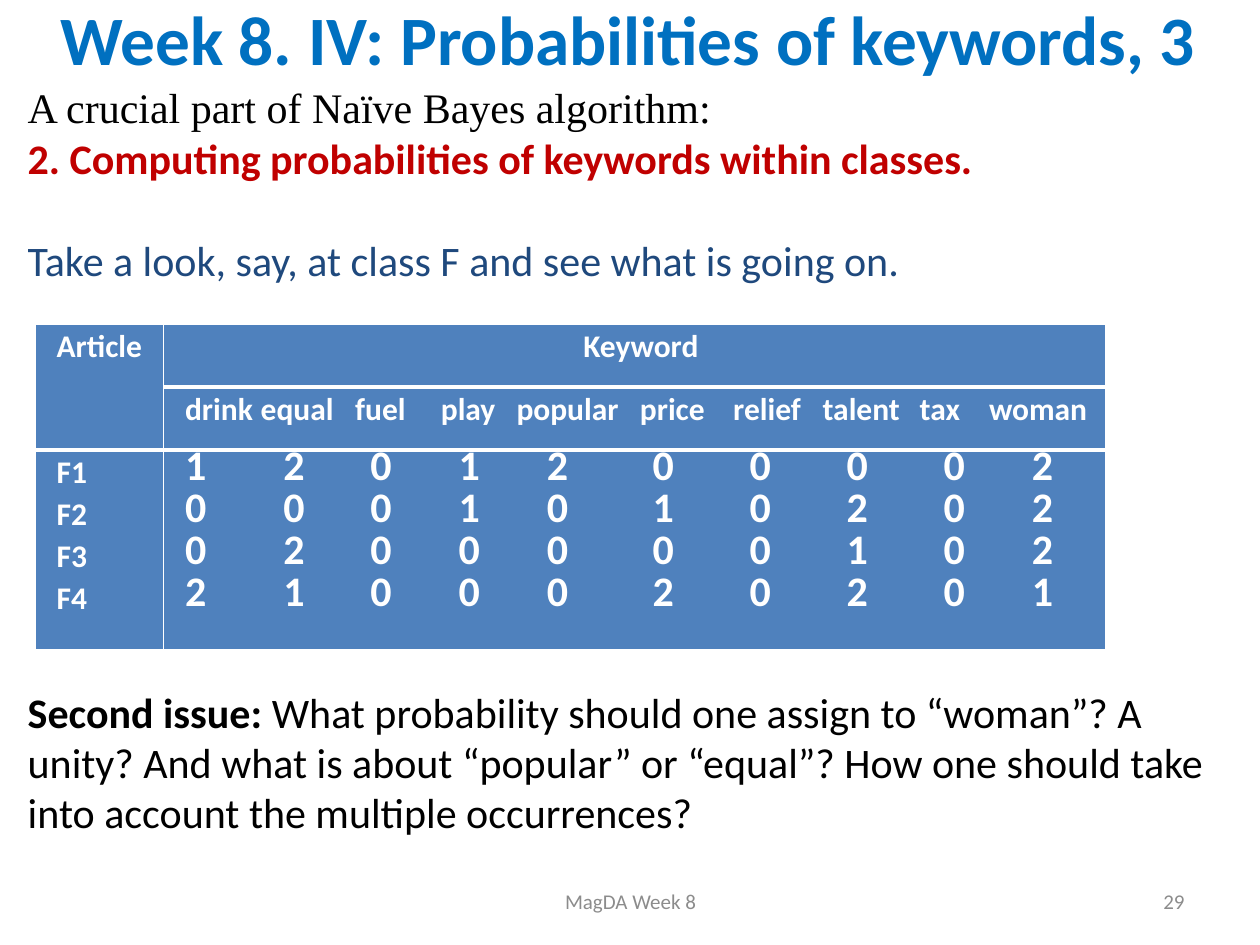
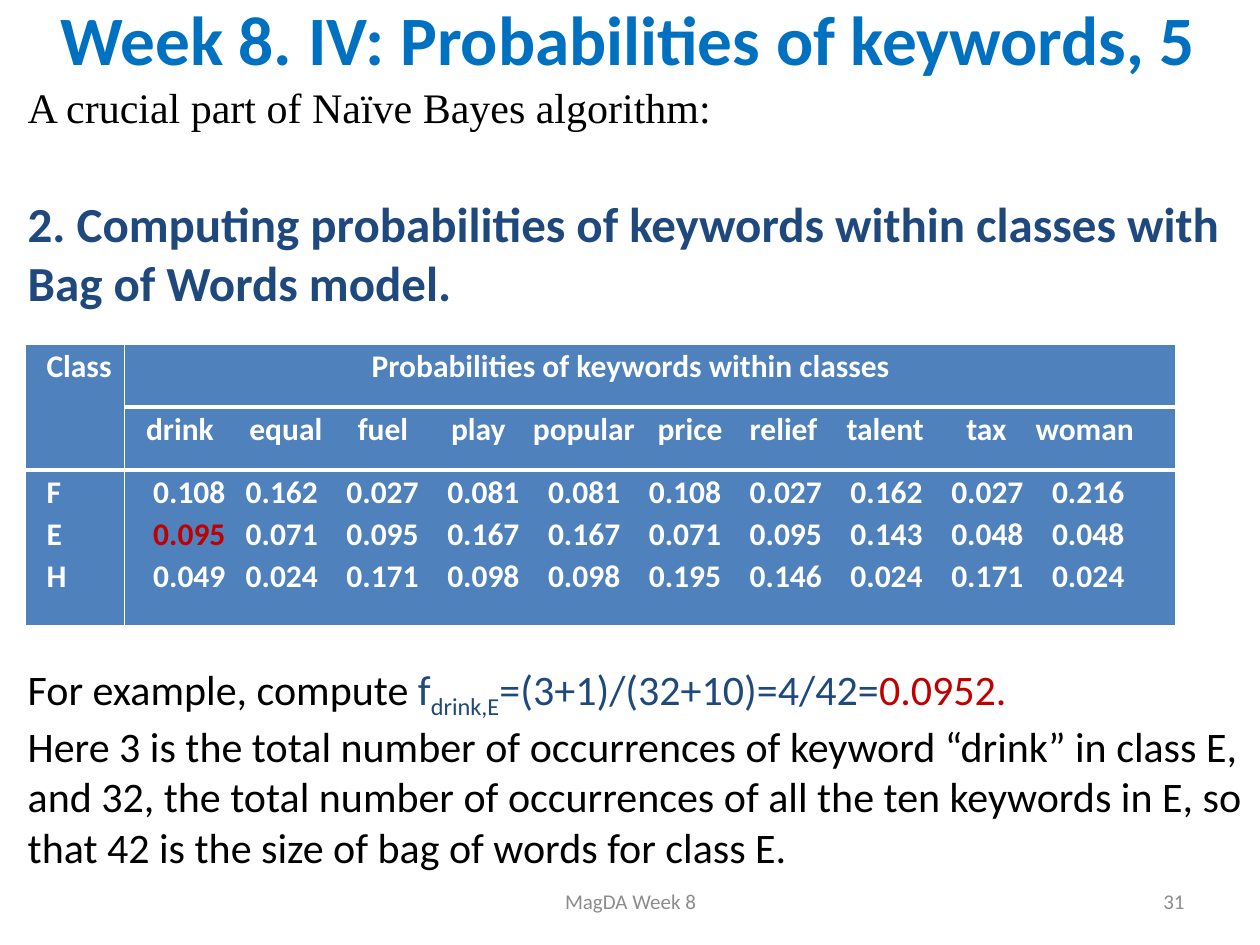
from lxml import etree
from pptx import Presentation
from pptx import util as u
from pptx.dml.color import RGBColor
from pptx.enum import text as t
from pptx.oxml import ns

HUES = {"title": "0070C0", "ink": "000000", "red": "C00000", "navy": "1F497D",
        "cell": "4F81BD", "white": "FFFFFF", "foot": "8C8C8C"}
SANS, SERIF = "Calibri", "Times New Roman"
LINE = u.Pt(12)
PAD = u.Inches(0.17)

deck = Presentation()
deck.slide_width, deck.slide_height = u.Inches(10), u.Inches(7.5)
COL, ROW = deck.slide_width // 100, deck.slide_height // 75


def spot(col, row, wide, high):
    return [int(n) for n in (col * COL, row * ROW, wide * COL, high * ROW)]


def write(par, parts, size, bold=False, face=SANS):
    for words, hue, *base in parts:
        run = par.add_run()
        run.text = words
        run.font.size, run.font.bold, run.font.name = u.Pt(size), bold, face
        run.font.color.rgb = RGBColor.from_string(HUES[hue])
        if base:
            run._r.get_or_add_rPr().set("baseline", str(base[0] * 1000))


INTRO = ([("A crucial part of Naïve Bayes algorithm:", "ink")], 24, False, SERIF, 0)

PAGES = [
    {"title": "Week 8. IV: Probabilities of keywords, 3", "num": "29", "wide": 97.6,
     "body": [
         INTRO,
         ([("2. Computing probabilities of keywords within classes.", "red")], 24, True, SANS, 0),
         ([("Take a look, say, at class F and see what is going on.", "navy")], 24, False, SANS, 29.3),
     ],
     "end": [
         ([("Second issue: ", "ink")], 24, True, SANS, 229.5),
     ],
     "tail": "What probability should one assign to “woman”? A unity? And what is about "
             "“popular” or “equal”? How one should take into account the multiple occurrences?",
     "grid": (2.8, 25.7), "cols": (10.2, 74.8), "rows": (5, 5, 15.9),
     "key": "Article", "head": "Keyword", "inset": 33.3, "size": 24, "lead": "",
     "stops": (0.6, 1.35, 2.03, 2.63, 3.61, 4.35, 5.06, 5.83, 6.38),
     "tabs": (0.78, 1.47, 2.17, 2.87, 3.71, 4.48, 5.25, 6.02, 6.72),
     "data": {"F1": "1 2 0 1 2 0 0 0 0 2", "F2": "0 0 0 1 0 1 0 2 0 2",
              "F3": "0 2 0 0 0 0 0 1 0 2", "F4": "2 1 0 0 0 2 0 2 0 1"}},
    {"title": "Week 8. IV: Probabilities of keywords, 5", "num": "31", "wide": 98.8,
     "body": [
         INTRO,
         ([("2. Computing probabilities of keywords within classes with Bag of Words model.",
            "navy")], 28, True, SANS, 35),
     ],
     "end": [
         ([("For example, compute", "ink"), (" f", "navy"), ("drink,E", "navy", -25),
           ("=(3+1)/(32+10)=4/42=", "navy"), ("0.0952.", "red")], 24, False, SANS, 201),
         ([("Here 3 is the total number of occurrences of keyword “drink” in class E, and 32, "
            "the total number of occurrences of all the ten keywords in E, so that 42 is the "
            "size of bag of words for class E.", "ink")], 24, False, SANS, 0),
     ],
     "tail": "",
     "grid": (2, 27.3), "cols": (7.9, 83.4), "rows": (5, 5, 12.4),
     "key": "Class", "head": "Probabilities of keywords within classes", "inset": 19.6,
     "size": 18, "lead": " ",
     "stops": (0.82, 1.68, 2.42, 3.07, 4.06, 4.79, 5.56, 6.51, 7.06),
     "tabs": [0.79 + 0.8 * n for n in range(9)],
     "data": {"F": "0.108 0.162 0.027 0.081 0.081 0.108 0.027 0.162 0.027 0.216",
              "E": "0.095 0.071 0.095 0.167 0.167 0.071 0.095 0.143 0.048 0.048",
              "H": "0.049 0.024 0.171 0.098 0.098 0.195 0.146 0.024 0.171 0.024"}},
]
WORDS = "drink equal fuel play popular price relief talent tax woman"
MARK = "0.095"

for page in PAGES:
    slide = deck.slides.add_slide(deck.slide_layouts[1])
    title, body = slide.placeholders
    title.left, title.top, title.width, title.height = spot(2, 0.3, 95.7, 5.4)
    body.left, body.top, body.width, body.height = spot(1.2, 6, page["wide"], 69)
    for shape in (title, body):
        shape.text_frame.auto_size = t.MSO_AUTO_SIZE.NONE
        shape.text_frame.word_wrap = True
    title.text_frame.vertical_anchor = t.MSO_ANCHOR.MIDDLE
    head = title.text_frame.paragraphs[0]
    head.alignment = t.PP_ALIGN.CENTER
    write(head, [(page["title"], "title")], 39.6, True)

    for n, (parts, size, bold, face, gap) in enumerate(page["body"] + page["end"]):
        par = body.text_frame.paragraphs[0] if n == 0 else body.text_frame.add_paragraph()
        par.space_before = u.Pt(gap)
        prop = par._p.get_or_add_pPr()
        prop.set("marL", "0")
        prop.set("indent", "0")
        etree.SubElement(prop, ns.qn("a:buNone"))
        write(par, parts, size, bold, face)
    if page["tail"]:
        write(par, [(page["tail"], "ink")], 24)

    for words, place, side in (("MagDA Week 8", (34.2, 69.5, 31.7, 4), t.PP_ALIGN.CENTER),
                               (page["num"], (71.7, 69.5, 23.3, 4), t.PP_ALIGN.RIGHT)):
        frame = slide.shapes.add_textbox(*spot(*place)).text_frame
        frame.word_wrap = True
        frame.vertical_anchor = t.MSO_ANCHOR.MIDDLE
        frame.paragraphs[0].alignment = side
        write(frame.paragraphs[0], [(words, "foot")], 12)

    area = spot(*page["grid"], sum(page["cols"]), sum(page["rows"]))
    table = slide.shapes.add_table(3, 2, *area).table
    table.horz_banding = False
    for col, wide in zip(table.columns, page["cols"]):
        col.width = int(wide * COL)
    for row, high in zip(table.rows, page["rows"]):
        row.height = int(high * ROW)
    table.cell(0, 0).merge(table.cell(1, 0))

    lists = [line.replace(" ", "\t") for line in page["data"].values()]
    cells = {(0, 0): ([page["key"]], 18, ()),
             (0, 1): ([page["head"]], 18, ()),
             (1, 1): ([WORDS.replace(" ", "\t")], 18, page["stops"]),
             (2, 0): (list(page["data"]), 18, ()),
             (2, 1): ([page["lead"] + line for line in lists], page["size"], page["tabs"])}
    for (r, c), (lines, size, stops) in cells.items():
        cell = table.cell(r, c)
        cell.margin_left, cell.margin_top = PAD, LINE
        cell.margin_right = cell.margin_bottom = 0
        if (r, c) == (0, 1):
            cell.margin_left = int(page["inset"] * COL)
        edges = {"L": 1, "R": 1, "T": 3 if r else 1, "B": 1 if r == 2 else 3}
        for side, thick in edges.items():
            edge = etree.SubElement(cell._tc.get_or_add_tcPr(), ns.qn("a:ln" + side),
                                    w=str(u.Pt(thick)))
            paint = etree.SubElement(edge, ns.qn("a:solidFill"))
            etree.SubElement(paint, ns.qn("a:srgbClr"), val=HUES["white"])
        cell.fill.solid()
        cell.fill.fore_color.rgb = RGBColor.from_string(HUES["cell"])
        for n, line in enumerate(lines):
            par = cell.text_frame.paragraphs[0] if n == 0 else cell.text_frame.add_paragraph()
            par.line_spacing = LINE
            par.space_before = LINE if n else 0
            if stops:
                tabs = etree.SubElement(par._p.get_or_add_pPr(), ns.qn("a:tabLst"))
                for stop in stops:
                    etree.SubElement(tabs, ns.qn("a:tab"), pos=str(u.Inches(stop)), algn="l")
            if line.strip().startswith(MARK):
                rest = line.strip()[len(MARK):]
                parts = [(page["lead"], "white"), (MARK, "red"), (rest, "white")]
            else:
                parts = [(line, "white")]
            write(par, parts, size, True)

deck.save("out.pptx")
